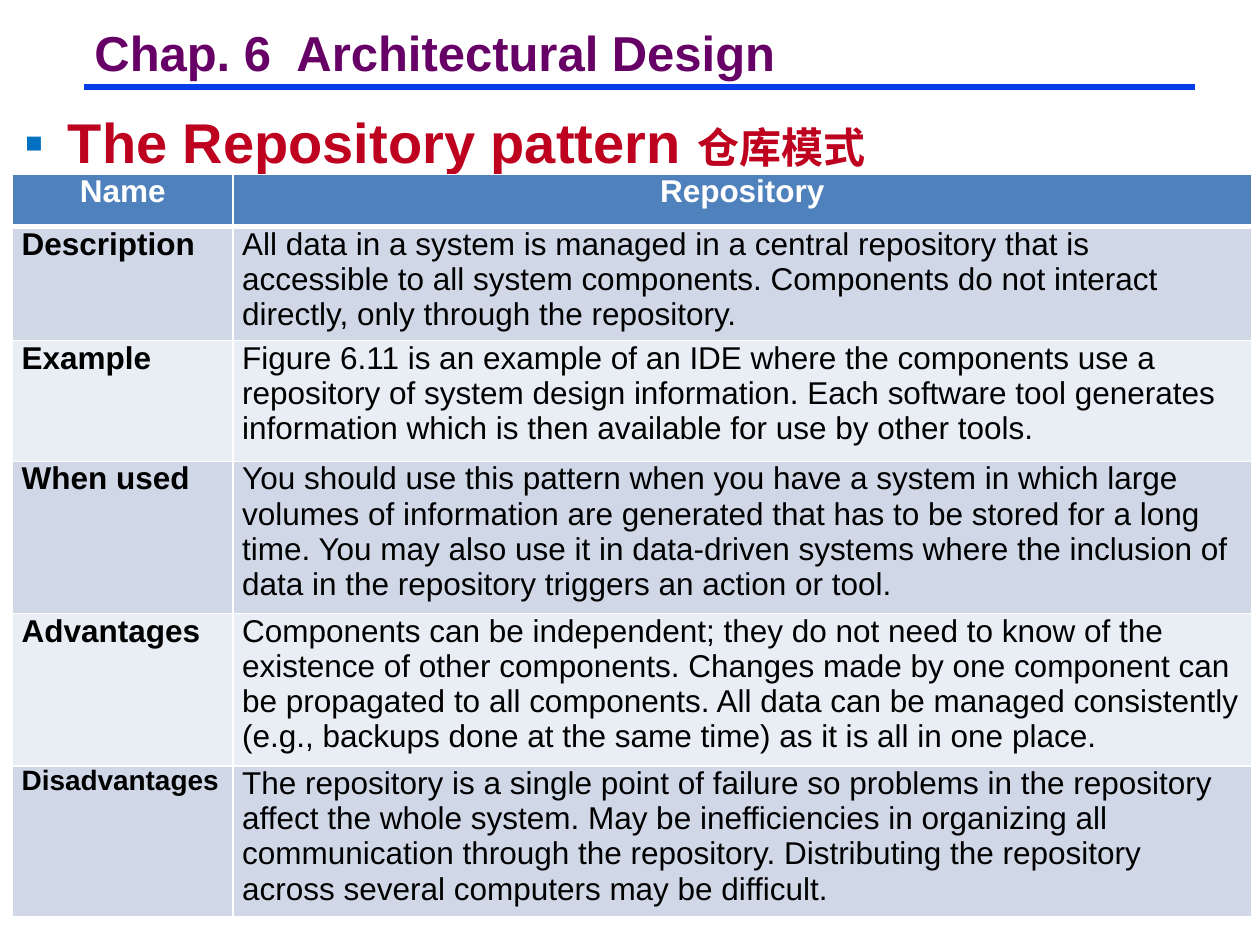
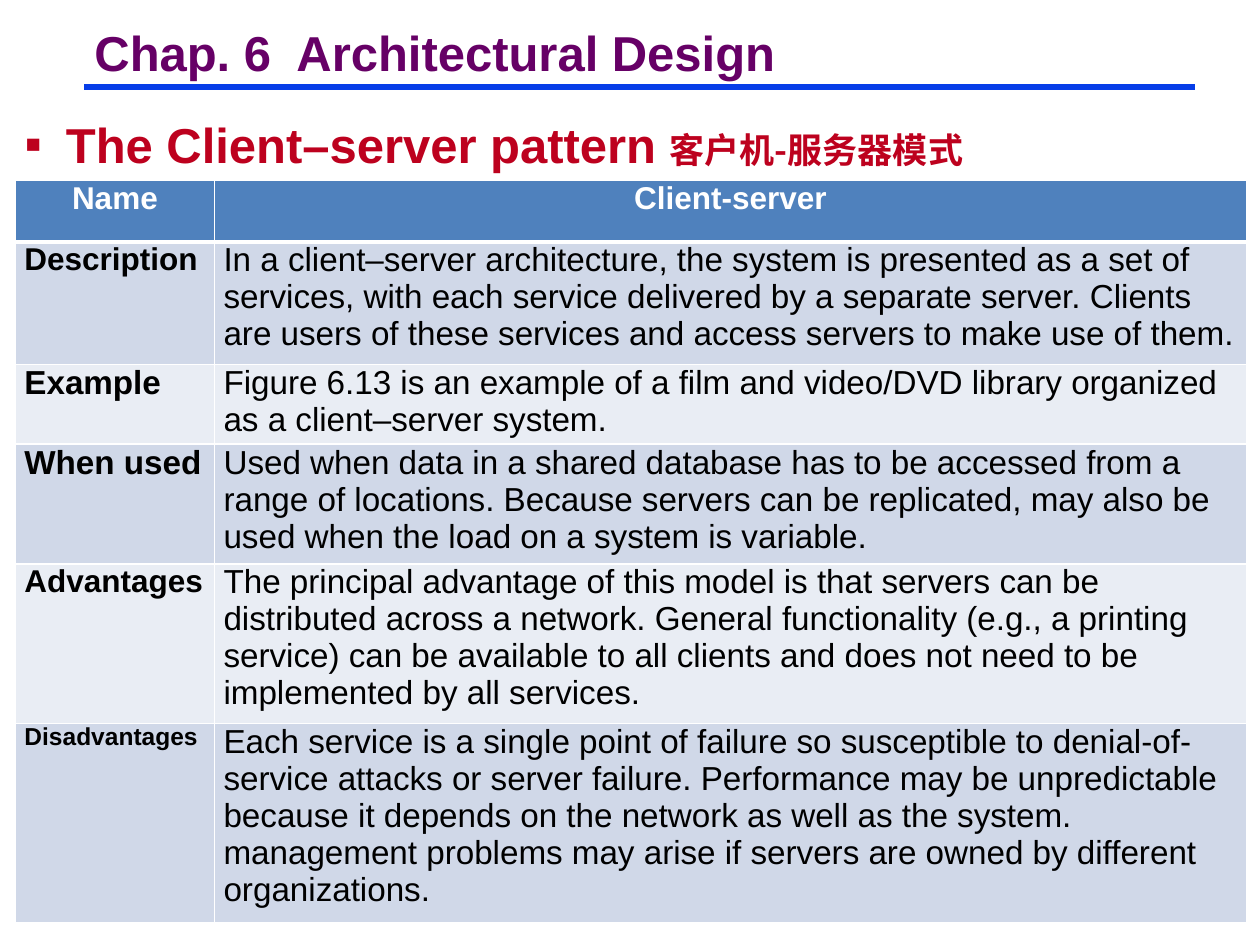
"""Builds two slides that describe architectural patterns in tables."""
from lxml import etree
from pptx import Presentation, util as u
from pptx.dml.color import RGBColor
from pptx.enum import shapes, text
from pptx.oxml.ns import qn

Pt = u.Pt
COLORS = {"title": "660066", "rule": "063DE8", "heading": "BD011E", "bullet": "0070C0",
          "header": "4F81BD", "odd": "D0D8E8", "even": "E9EDF4",
          "white": "FFFFFF", "black": "000000"}
LATIN, CHINESE = "Arial", "Noto Sans CJK SC"
CHAPTER = "Chap. 6  Architectural Design"
HEADER_SIZE = 18
CELL_INSET = 5.2

PATTERNS = [
    {"heading": ("The Repository pattern ", "仓库模式"), "sizes": (32, 24),
     "bullet": "bullet", "indent": 24.7, "heading_box": (7, 54.7, 707, 54.7),
     "table_at": (7.2, 99.6), "columns": (126, 582), "heights": (30, 65, 69, 87, 87, 86),
     "body_size": 18, "label_sizes": (18, 18, 18, 18, 16),
     "rows": [
         ("Name", "Repository"),
         ("Description", "All data in a system is managed in a central repository that is "
          "accessible to all system components. Components do not interact directly, only "
          "through the repository."),
         ("Example", "Figure 6.11 is an example of an IDE where the components use a "
          "repository of system design information. Each software tool generates "
          "information which is then available for use by other tools."),
         ("When used", "You should use this pattern when you have a system in which large "
          "volumes of information are generated that has to be stored for a long time. You "
          "may also use it in data-driven systems where the inclusion of data in the "
          "repository triggers an action or tool."),
         ("Advantages", "Components can be independent; they do not need to know of the "
          "existence of other components. Changes made by one component can be propagated "
          "to all components. All data can be managed consistently (e.g., backups done at "
          "the same time) as it is all in one place."),
         ("Disadvantages", "The repository is a single point of failure so problems in the "
          "repository affect the whole system. May be inefficiencies in organizing all "
          "communication through the repository. Distributing the repository across "
          "several computers may be difficult.")]},
    {"heading": ("The Client–server pattern ", "客户机-服务器模式"), "sizes": (28, 20),
     "bullet": "heading", "indent": 23.6, "heading_box": (7, 58.3, 707, 51.1),
     "table_at": (8.8, 103.2), "columns": (113.8, 589.7),
     "heights": (35, 70, 45.6, 68.4, 91.2, 114),
     "body_size": 19, "label_sizes": (18, 19, 19, 18, 14),
     "rows": [
         ("Name", "Client-server"),
         ("Description", "In a client–server architecture, the system is presented as a set "
          "of services, with each service delivered by a separate server. Clients are users "
          "of these services and access servers to make use of them."),
         ("Example", "Figure 6.13 is an example of a film and video/DVD library organized "
          "as a client–server system."),
         ("When used", "Used when data in a shared database has to be accessed from a range "
          "of locations. Because servers can be replicated, may also be used when the load "
          "on a system is variable."),
         ("Advantages", "The principal advantage of this model is that servers can be "
          "distributed across a network. General functionality (e.g., a printing service) "
          "can be available to all clients and does not need to be implemented by all "
          "services."),
         ("Disadvantages", "Each service is a single point of failure so susceptible to "
          "denial-of-service attacks or server failure. Performance may be unpredictable "
          "because it depends on the network as well as the system. management problems "
          "may arise if servers are owned by different organizations.")]},
]


def color(name):
    return RGBColor.from_string(COLORS[name])


def child(parent, tag, **attributes):
    return etree.SubElement(parent, qn(tag), attributes)


def style(span, size, tint, bold=True, face=LATIN):
    span.font.name, span.font.size, span.font.bold = face, Pt(size), bold
    span.font.color.rgb = color(tint)
    child(span._r.get_or_add_rPr(), "a:ea", typeface=face)


def add_text_box(page, place):
    return page.shapes.add_textbox(*map(Pt, place)).text_frame


def add_title(page):
    rule = page.shapes.add_connector(shapes.MSO_CONNECTOR.STRAIGHT,
                                     Pt(48.2), Pt(49.7), Pt(682.6), Pt(49.7))
    rule.line.color.rgb, rule.line.width = color("rule"), Pt(3.75)
    child(rule._element.spPr, "a:effectLst")
    frame = add_text_box(page, (49, 15.8, 400.3, 33.1))
    frame.margin_left = frame.margin_right = Pt(5)
    frame.margin_top = frame.margin_bottom = Pt(2.2)
    frame.vertical_anchor = text.MSO_ANCHOR.MIDDLE
    frame.word_wrap = False
    frame.auto_size = text.MSO_AUTO_SIZE.SHAPE_TO_FIT_TEXT
    frame.text = CHAPTER
    para = frame.paragraphs[0]
    para.line_spacing = 0.87
    style(para.runs[0], 28, "title")


def add_heading(page, pattern):
    frame = add_text_box(page, pattern["heading_box"])
    frame.word_wrap = True
    frame.margin_top = Pt(7)
    para = frame.paragraphs[0]
    properties = para._p.get_or_add_pPr()
    indent = Pt(pattern["indent"])
    properties.set("marL", str(indent))
    properties.set("indent", str(-indent))
    child(child(properties, "a:buClr"), "a:srgbClr", val=COLORS[pattern["bullet"]])
    child(properties, "a:buFont", typeface=LATIN)
    child(properties, "a:buChar", char="▪")
    for words, size, face in zip(pattern["heading"], pattern["sizes"], (LATIN, CHINESE)):
        span = para.add_run()
        span.text = words
        style(span, size, "heading", face=face)


def add_borders(cell, row):
    widths = {"L": 1, "R": 1, "T": 3 if row == 1 else 1, "B": 3 if row == 0 else 1}
    for side, width in widths.items():
        line = child(cell._tc.get_or_add_tcPr(), f"a:ln{side}", w=str(Pt(width)))
        child(child(line, "a:solidFill"), "a:srgbClr", val=COLORS["white"])


def fill_cell(cell, words, row, size, bold):
    add_borders(cell, row)
    cell.fill.solid()
    cell.fill.fore_color.rgb = color("header" if row == 0 else "odd" if row % 2 else "even")
    cell.margin_left = cell.margin_right = Pt(CELL_INSET)
    cell.margin_top = cell.margin_bottom = 0
    cell.text_frame.text = words
    para = cell.text_frame.paragraphs[0]
    para.alignment = text.PP_ALIGN.LEFT if row else text.PP_ALIGN.CENTER
    style(para.runs[0], size, "black" if row else "white", bold)


def add_pattern_table(page, pattern):
    rows, columns, heights = pattern["rows"], pattern["columns"], pattern["heights"]
    place = (*pattern["table_at"], sum(columns), sum(heights))
    table = page.shapes.add_table(len(rows), len(columns), *map(Pt, place)).table
    table.first_row = table.horz_banding = False
    for column, width in zip(table.columns, columns):
        column.width = Pt(width)
    label_sizes = (HEADER_SIZE, *pattern["label_sizes"])
    for row, (label, body) in enumerate(rows):
        table.rows[row].height = Pt(heights[row])
        body_size = pattern["body_size"] if row else HEADER_SIZE
        fill_cell(table.cell(row, 0), label, row, label_sizes[row], True)
        fill_cell(table.cell(row, 1), body, row, body_size, row == 0)


def main():
    deck = Presentation()
    deck.slide_width, deck.slide_height = Pt(720), Pt(540)
    for pattern in PATTERNS:
        page = deck.slides.add_slide(deck.slide_layouts[6])
        add_title(page)
        add_heading(page, pattern)
        add_pattern_table(page, pattern)
    deck.save("out.pptx")


if __name__ == "__main__":
    main()
